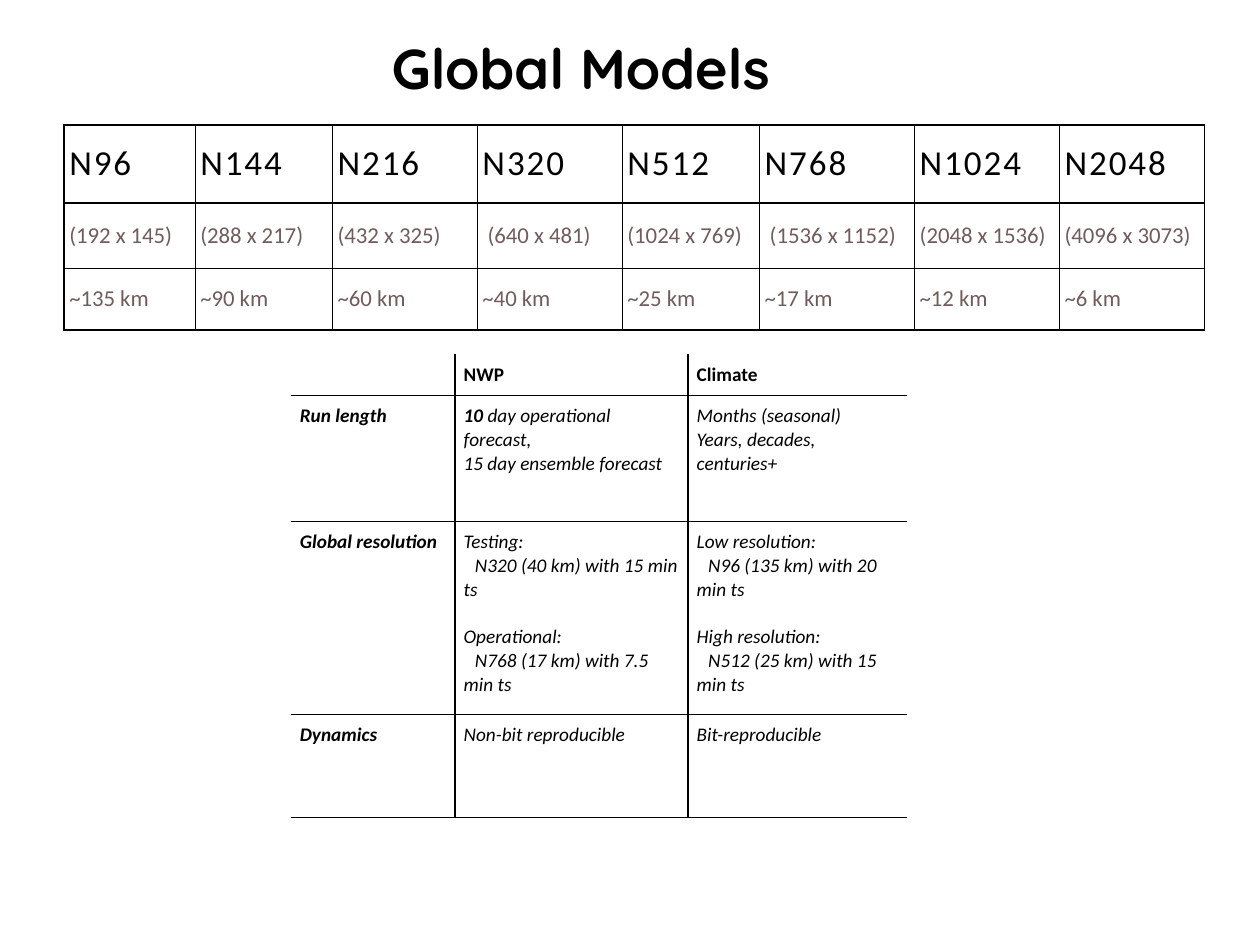
import pptx
import pptx.dml.color
import pptx.enum.text
import pptx.oxml
import pptx.oxml.ns
import pptx.util

Inches, Pt = pptx.util.Inches, pptx.util.Pt
ANCHOR = pptx.enum.text.MSO_ANCHOR
ALIGN = pptx.enum.text.PP_ALIGN


def rgb(value):
    return pptx.dml.color.RGBColor.from_string(value)


class Deck:
    """Holds the style and the current slide."""
    black, brown = "000000", "715C5C"
    body, heading = "Calibri", "Quicksand"

    def __init__(self, width, height):
        self.prs = pptx.Presentation()
        self.prs.slide_width, self.prs.slide_height = Inches(width), Inches(height)
        self.s = self.prs.slides.add_slide(self.prs.slide_layouts[6])

    def run(self, p, text, color=black, spc=0, **fmt):
        r = p.add_run()
        r.text = text
        for name, value in {"name": self.body, **fmt}.items():
            setattr(r.font, name, value)
        r.font.color.rgb = rgb(color)
        if spc:
            r.font._element.set("spc", str(round(spc * 100)))

    def title(self, text, x, y, w, h):
        sp = self.s.shapes.add_textbox(*map(Inches, (x, y, w, h)))
        tf = sp.text_frame
        tf.word_wrap, tf.vertical_anchor = True, ANCHOR.MIDDLE
        p = tf.paragraphs[0]
        p.alignment, p.line_spacing = ALIGN.CENTER, 0.9
        self.run(p, text, name=self.heading, size=Pt(32), bold=True)

    def table(self, x, y, cols, rows):
        frame = self.s.shapes.add_table(len(rows), len(cols), Inches(x), Inches(y),
                                        Inches(sum(cols)), Inches(sum(rows)))
        tbl = frame.table
        tbl.first_row = tbl.horz_banding = False
        for col, w in zip(tbl.columns, cols):
            col.width = Inches(w)
        for row, h in zip(tbl.rows, rows):
            row.height = Inches(h)
        return tbl

    def cell(self, cell, inset, anchor, edges):
        """Set inset, anchor and borders; return the text frame."""
        for side in ("left", "right", "top", "bottom"):
            setattr(cell, "margin_" + side, Inches(inset))
        cell.vertical_anchor = anchor
        cell.fill.background()
        tcPr = cell._tc.get_or_add_tcPr()
        ns = pptx.oxml.ns.nsdecls("a")
        for i, side in enumerate("LRTB"):
            paint = (f'<a:solidFill><a:srgbClr val="{self.black}"/></a:solidFill>'
                     if side in edges else "<a:noFill/>")
            tcPr.insert(i, pptx.oxml.parse_xml(
                f'<a:ln{side} {ns} w="{Pt(1)}">{paint}</a:ln{side}>'))
        return cell.text_frame

    def paragraph(self, tf, first, indent=0, before=0):
        p = tf.paragraphs[0] if first else tf.add_paragraph()
        if indent:
            p._p.get_or_add_pPr().set("indent", str(Inches(indent)))
        if before:
            p.space_before = Pt(before)
        return p


def resolution_table(deck):
    grid = [
        ["N96", "N144", "N216", "N320", "N512", "N768", "N1024", "N2048"],
        ["(192 x 145)", "(288 x 217)", "(432 x 325)", "(640 x 481)",
         "(1024 x 769)", "(1536 x 1152)", "(2048 x 1536)", "(4096 x 3073)"],
        [f"~{km} km" for km in (135, 90, 60, 40, 25, 17, 12, 6)],
    ]
    indented = ("(640 x 481)", "(1536 x 1152)")
    head = {"size": Pt(20), "spc": 1.1}
    detail = {"size": Pt(13), "color": deck.brown}
    tbl = deck.table(0.51, 0.99, [1.04, 1.09, 1.15, 1.15, 1.09, 1.23, 1.15, 1.15],
                     [0.62, 0.52, 0.49])
    for i, row in enumerate(grid):
        for j, text in enumerate(row):
            tf = deck.cell(tbl.cell(i, j), 0.04, ANCHOR.MIDDLE, "LRTB")
            p = deck.paragraph(tf, True, 0.04 if text in indented else 0)
            deck.run(p, text, **(detail if i else head))


def comparison_table(deck):
    # Each cell is a list of lines; each line is (text, kind)
    def setup(first, first_run, second, second_run):
        return [(first, "plain"), (first_run, "indent"),
                (second, "gap"), (second_run, "indent")]

    grid = [
        [[], [("NWP", "head")], [("Climate", "head")]],
        [[("Run length", "label")],
         [("10| day operational forecast,", "lead"), ("15 day ensemble forecast", "plain")],
         [("Months (seasonal)", "plain"), ("Years, decades, centuries+", "plain")]],
        [[("Global resolution", "label")],
         setup("Testing:", "N320 (40 km) with 15 min ts",
               "Operational:", "N768 (17 km) with 7.5 min ts"),
         setup("Low resolution:", "N96 (135 km) with 20 min ts",
               "High resolution:", "N512 (25 km) with 15 min ts")],
        [[("Dynamics", "label")], [("Non-bit reproducible", "plain")],
         [("Bit-reproducible", "plain")]],
    ]
    tbl = deck.table(2.31, 2.81, [1.3, 1.85, 1.74], [0.33, 1, 1.53, 0.82])
    for i, row in enumerate(grid):
        for j, lines in enumerate(row):
            edges = "B" + "T" * (i > 0) + "L" * (j > 0) + "R" * (j < 2)
            tf = deck.cell(tbl.cell(i, j), 0.07, ANCHOR.TOP, edges)
            if not lines:  # keeps the empty corner from stretching its row
                tf.paragraphs[0]._p.get_or_add_endParaRPr().set("sz", "1100")
            for n, (text, kind) in enumerate(lines):
                p = deck.paragraph(tf, n == 0, 0.09 if kind == "indent" else 0,
                                   13.4 if kind == "gap" else 0)
                for k, part in enumerate(text.split("|")):
                    bold = kind in ("head", "label") or (kind == "lead" and k == 0)
                    deck.run(p, part, size=Pt(11), bold=bold, italic=kind != "head")


def main():
    deck = Deck(10, 7.5)
    # Title
    deck.title("Global Models", 0, 0.21, 9.22, 0.71)
    # Grid sizes by resolution
    resolution_table(deck)
    # Weather forecasting against climate
    comparison_table(deck)
    deck.prs.save("out.pptx")


if __name__ == "__main__":
    main()
